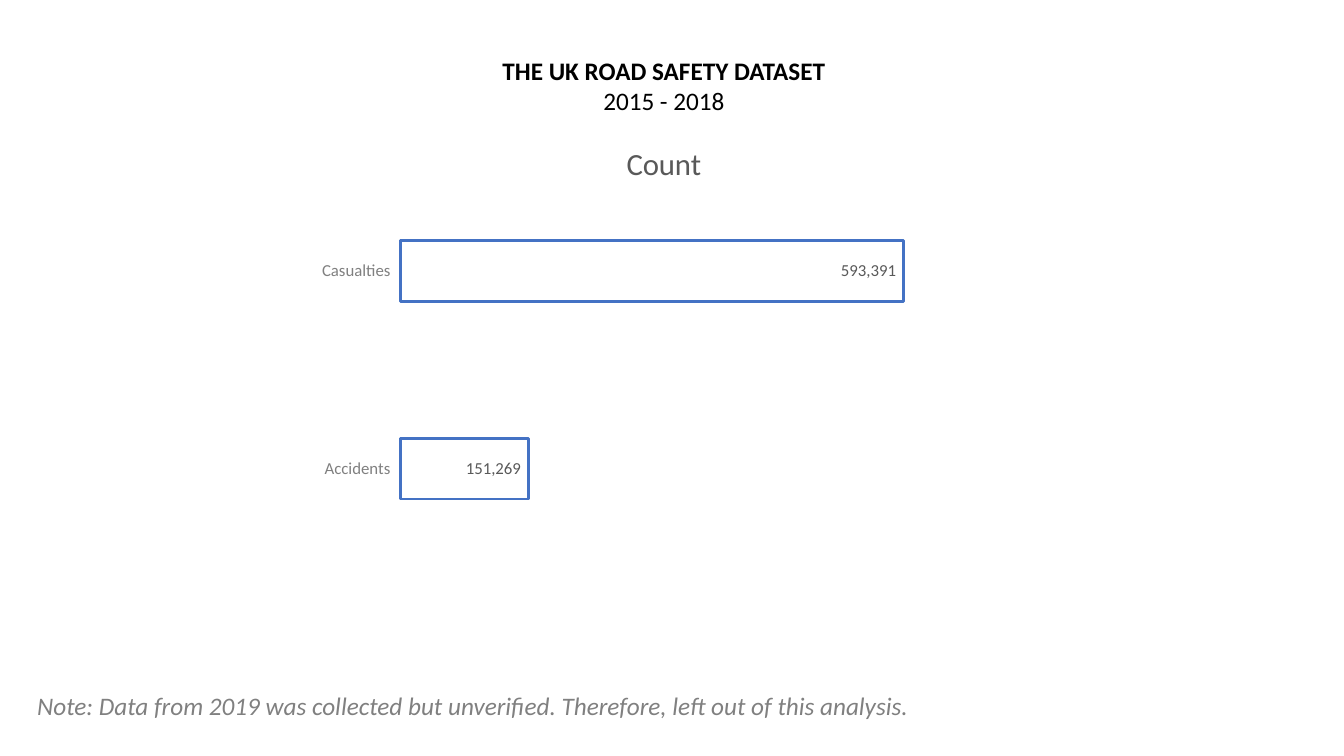
import pptx
import pptx.chart.data
import pptx.enum.chart
import pptx.enum.text
import pptx.oxml
import pptx.oxml.ns
import pptx.util
from pptx.dml.color import RGBColor
from pptx.util import Inches, Pt

HEADING = ["THE UK ROAD SAFETY DATASET", "2015 - 2018"]
NOTE = "Note: Data from 2019 was collected but unverified. Therefore, left out of this analysis."
SERIES_NAME = "Count"
COUNTS = {"Accidents": 151269, "Casualties": 593391}
AXIS_MAX = 700000
NUMBER_FORMAT = '_(* #,##0_);_(* \\(#,##0\\);_(* "-"??_);_('
FONT = "Calibri"
COLORS = {"text": "000000", "muted": "808080", "label": "595959", "bar": "4472C4"}
PLOT_AREA = {"x": 0.123, "y": 0.1, "w": 0.85, "h": 0.771}  # fractions of the chart


def style_font(font, size, color, bold=False, italic=False):
    font.name = FONT
    font.size = Pt(size)
    font.bold = bold
    font.italic = italic
    font.color.rgb = RGBColor.from_string(COLORS[color])


def fit_frame(frame):
    frame.word_wrap = True
    frame.auto_size = pptx.enum.text.MSO_AUTO_SIZE.SHAPE_TO_FIT_TEXT
    frame.vertical_anchor = pptx.enum.text.MSO_ANCHOR.TOP


def add_heading(page):
    box = page.shapes.title
    box.left, box.top, box.width, box.height = map(Inches, (4.55, 0.5, 4.07, 0.71))
    box.text_frame.text = "\n".join(HEADING)
    fit_frame(box.text_frame)
    for index, para in enumerate(box.text_frame.paragraphs):
        para.alignment = pptx.enum.text.PP_ALIGN.CENTER
        style_font(para.runs[0].font, 18, "text", bold=index == 0)


def add_note(page):
    box = page.shapes.add_textbox(*map(Inches, (0.27, 6.8, 8.9, 0.4)))
    box.text_frame.text = NOTE
    fit_frame(box.text_frame)
    style_font(box.text_frame.paragraphs[0].runs[0].font, 18, "muted", italic=True)


def place_plot_area(chart):
    """Fix the inner plot area at the PLOT_AREA fractions."""
    plot_area = chart.element.find(".//" + pptx.oxml.ns.qn("c:plotArea"))
    for layout in plot_area.findall(pptx.oxml.ns.qn("c:layout")):
        plot_area.remove(layout)
    sizes = "".join(f'<c:{key} val="{value}"/>' for key, value in PLOT_AREA.items())
    plot_area.insert(0, pptx.oxml.parse_xml(
        f'<c:layout {pptx.oxml.ns.nsdecls("c")}><c:manualLayout>'
        '<c:layoutTarget val="inner"/><c:xMode val="edge"/><c:yMode val="edge"/>'
        f'{sizes}</c:manualLayout></c:layout>'))


def add_count_chart(page):
    data = pptx.chart.data.CategoryChartData(number_format=NUMBER_FORMAT)
    data.categories = list(COUNTS)
    data.add_series(SERIES_NAME, list(COUNTS.values()))
    chart = page.shapes.add_chart(
        pptx.enum.chart.XL_CHART_TYPE.BAR_CLUSTERED,
        *map(Inches, (3.12, 1.2, 6.93, 5.09)), data).chart
    style_font(chart.font, 10, "text")
    chart.has_legend = False
    chart.has_title = True
    chart.chart_title.text_frame.text = SERIES_NAME
    chart.chart_title.include_in_layout = False
    style_font(chart.chart_title.text_frame.paragraphs[0].runs[0].font, 22, "label")
    place_plot_area(chart)

    category_axis, value_axis = chart.category_axis, chart.value_axis
    category_axis.format.line.fill.background()
    category_axis.major_tick_mark = pptx.enum.chart.XL_TICK_MARK.OUTSIDE
    style_font(category_axis.tick_labels.font, 12, "muted")
    value_axis.visible = False
    value_axis.has_major_gridlines = False
    value_axis.minimum_scale, value_axis.maximum_scale = 0, AXIS_MAX

    plot = chart.plots[0]
    plot.vary_by_categories = False
    plot.gap_width, plot.overlap = 227, -48
    series = plot.series[0]
    series.invert_if_negative = False
    series.format.fill.background()
    series.format.line.color.rgb = RGBColor.from_string(COLORS["bar"])
    series.format.line.width = Pt(2)
    labels = series.data_labels
    labels.show_value = True
    labels.position = pptx.enum.chart.XL_LABEL_POSITION.INSIDE_END
    labels.number_format = NUMBER_FORMAT
    labels.number_format_is_linked = False
    style_font(labels.font, 12, "label")


def main():
    deck = pptx.Presentation()
    deck.slide_width, deck.slide_height = Inches(13.33), Inches(7.5)
    page = deck.slides.add_slide(deck.slide_layouts.get_by_name("Title Only"))
    add_count_chart(page)
    add_heading(page)
    add_note(page)
    deck.save("out.pptx")


if __name__ == "__main__":
    main()
